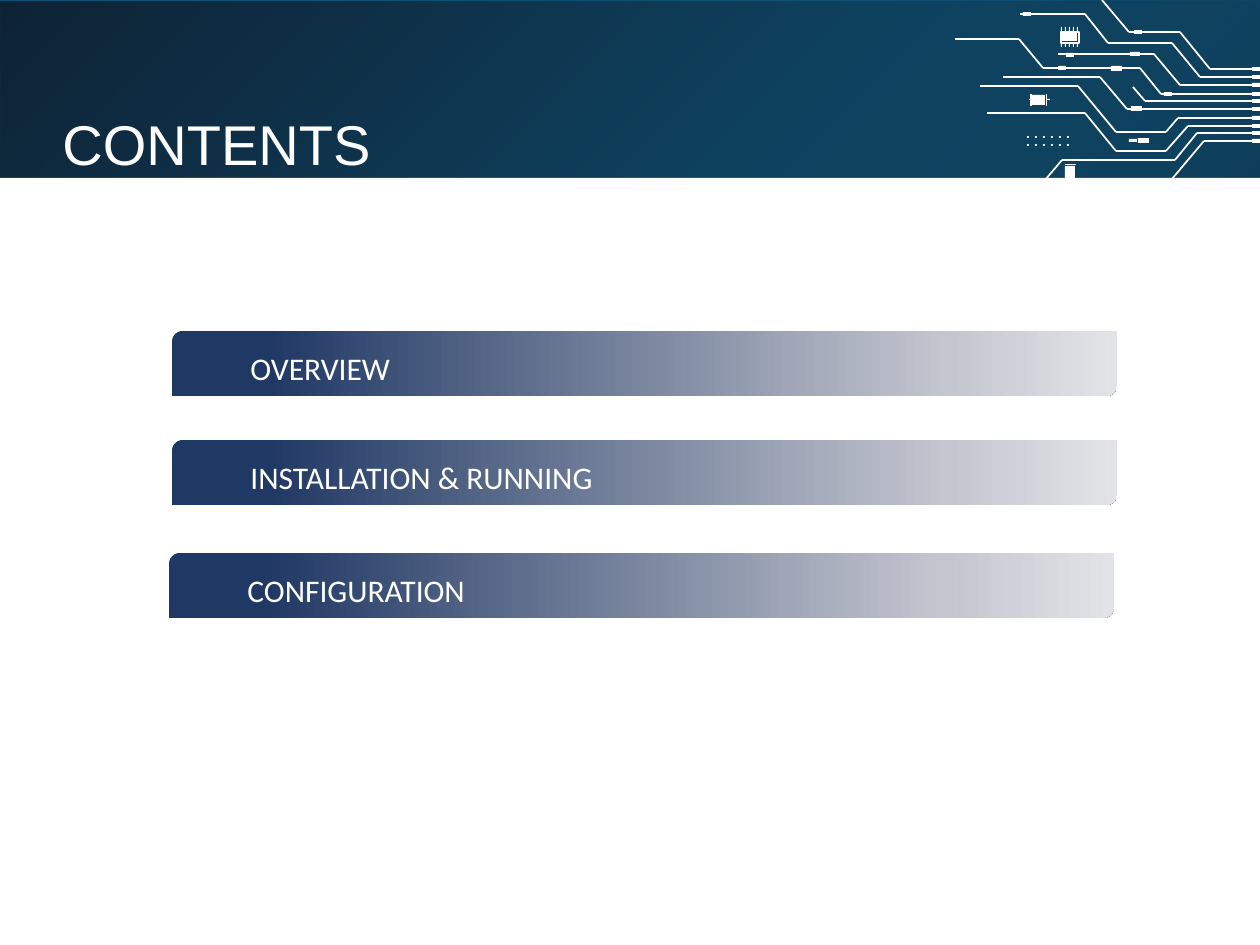
import itertools

import pptx
import pptx.util
import pptx.dml.color
import pptx.enum.shapes
import pptx.enum.text
import pptx.oxml
import pptx.oxml.ns
from lxml import etree

PX = 914400 // 126
W, H = 1260, 945
HEADER_H = 178
COLORS = {"base": "004962", "shade": "000000", "tint": "276195", "white": "FFFFFF",
          "navy": "203864", "silver": "C4C6CF", "pale": "E2E3E7"}

TITLE = "CONTENTS"
# Left, top and wording of each agenda bar
BARS = [(172, 331, "OVERVIEW"),
        (172, 440, "INSTALLATION & RUNNING"),
        (169, 553, "CONFIGURATION")]
BAR_W, BAR_H = 945, 65

# Circuit traces as corner points
TRACES = [
    [(1102, 0), (1129, 32), (1180, 32), (1210, 69), (W, 69)],
    [(1020, 14), (1085, 14), (1108, 43), (1172, 43), (1200, 77), (W, 77)],
    [(1058, 54), (1154, 54), (1180, 85), (W, 85)],
    [(955, 39), (1019, 39), (1043, 68), (1140, 68), (1161, 94), (W, 94)],
    [(1133, 87), (1145, 101), (W, 101)],
    [(1003, 77), (1100, 77), (1127, 109), (W, 109)],
    [(980, 86), (1078, 86), (1116, 132), (1166, 132), (1178, 118), (W, 118)],
    [(987, 113), (1085, 113), (1116, 151), (1166, 151), (1188, 126), (W, 126)],
    [(1046, 179), (1062, 160), (1175, 160), (1197, 133), (W, 133)],
    [(1172, 179), (1204, 141), (W, 141)],
]
# Solder pads and component bodies: left, top, width, height
PADS = [(1023, 12, 8, 4), (1134, 30, 8, 4), (1066, 53, 8, 4), (1058, 66, 8, 4),
        (1164, 92, 8, 4), (1130, 52, 10, 4), (1111, 66, 11, 5), (1131, 106, 11, 5),
        (1138, 138, 11, 5), (1129, 139, 8, 3),
        (1062, 33, 15, 8), (1032, 95, 13, 10), (1029, 99, 3, 1), (1047, 99, 3, 1),
        (1065, 166, 10, 13)]
# Component outlines with line width in points
OUTLINES = [(1061, 32, 18, 11, 1), (1046, 95, 1, 11, 0.5),
            (1031, 95, 1, 11, 0.5), (1065, 164, 11, 1, 0.5)]

prs = pptx.Presentation()
prs.slide_width, prs.slide_height = W * PX, H * PX
s = prs.slides.add_slide(prs.slide_layouts[6])
SHAPE = pptx.enum.shapes.MSO_SHAPE


def rgb(name):
    return pptx.dml.color.RGBColor.from_string(COLORS[name])


def add_shape(x, y, w, h, fill=None, kind=SHAPE.RECTANGLE):
    sp = s.shapes.add_shape(kind, x * PX, y * PX, w * PX, h * PX)
    sp.shadow.inherit = False
    sp.line.fill.background()
    if fill:
        sp.fill.solid()
        sp.fill.fore_color.rgb = rgb(fill)
    else:
        sp.fill.background()
    return sp


def set_alpha(color_el, percent):
    alpha = etree.SubElement(color_el, pptx.oxml.ns.qn("a:alpha"))
    alpha.set("val", str(percent * 1000))


def set_gradient(sp, stops, angle):
    """Stops are (position %, colour, opacity %)."""
    grad = pptx.oxml.parse_xml(
        f'<a:gradFill {pptx.oxml.ns.nsdecls("a")} rotWithShape="1"><a:gsLst/>'
        f'<a:lin ang="{angle * 60000}" scaled="0"/></a:gradFill>')
    for pos, color, opacity in stops:
        gs = etree.SubElement(grad[0], pptx.oxml.ns.qn("a:gs"), pos=str(pos * 1000))
        clr = etree.SubElement(gs, pptx.oxml.ns.qn("a:srgbClr"), val=COLORS[color])
        if opacity < 100:
            set_alpha(clr, opacity)
    old = sp.fill._xPr.find(pptx.oxml.ns.qn("a:noFill"))
    old.getparent().replace(old, grad)


def add_trace(start, end):
    ends = [v * PX for v in (*start, *end)]
    cx = s.shapes.add_connector(pptx.enum.shapes.MSO_CONNECTOR.STRAIGHT, *ends)
    cx.line.color.rgb = rgb("white")
    cx.line.width = pptx.util.Pt(1)
    etree.SubElement(cx._element.spPr, pptx.oxml.ns.qn("a:effectLst"))


def add_run(p, text, font, size):
    r = p.add_run()
    r.text = text
    r.font.name, r.font.size = font, pptx.util.Pt(size)
    r.font.color.rgb = rgb("white")


# Background: shaded from opposite corners, then tinted
s.background.fill.solid()
s.background.fill.fore_color.rgb = rgb("base")
shade = [(0, "shade", 100), (60, "shade", 0), (83, "shade", 0), (100, "shade", 0)]
for y, angle in ((0, 225), (2, 45)):
    set_gradient(add_shape(0, y, W, H - y), shade, angle)
tint = add_shape(0, 0, W, H - 1, "tint")
set_alpha(tint.fill._xPr.find(".//" + pptx.oxml.ns.qn("a:srgbClr")), 36)

# Circuit traces, each ending in a pad at the right edge
for points in TRACES:
    for start, end in itertools.pairwise(points):
        add_trace(start, end)
    add_shape(W - 8, points[-1][1] - 2, 8, 4, "white")

# Components
for pad in PADS:
    add_shape(*pad, "white")
for *box, width in OUTLINES:
    sp = add_shape(*box)
    sp.line.color.rgb = rgb("white")
    sp.line.width = pptx.util.Pt(width)
for col, y in itertools.product(range(5), (27, 43)):
    add_shape(1061 + 4 * col, y, 1, 4, "white")      # chip pins
for col, y in itertools.product(range(6), (136, 144)):
    add_shape(1027 + 8 * col, y, 2, 2, "white", SHAPE.OVAL)

# White content area
add_shape(0, HEADER_H, W, H - HEADER_H, "white")

# Title
tb = s.shapes.add_textbox(50 * PX, 103 * PX, 336 * PX, 81 * PX)
tb.text_frame.word_wrap = False
add_run(tb.text_frame.paragraphs[0], TITLE, "Arial", 32)

# Agenda bars
for x, y, text in BARS:
    sp = add_shape(x, y, BAR_W, BAR_H, kind=SHAPE.ROUND_2_DIAG_RECTANGLE)
    set_gradient(sp, [(10, "navy", 100), (82, "silver", 100), (100, "pale", 100)], 0)
    tf = sp.text_frame
    tf.word_wrap = True
    tf.vertical_anchor = pptx.enum.text.MSO_ANCHOR.BOTTOM
    p = tf.paragraphs[0]
    p.level = 1
    p.alignment = pptx.enum.text.PP_ALIGN.LEFT
    pPr = p._p.get_or_add_pPr()
    pPr.set("marL", str(63 * PX))
    pPr.set("indent", "0")
    add_run(p, text, "Calibri", 18)

prs.save("out.pptx")
